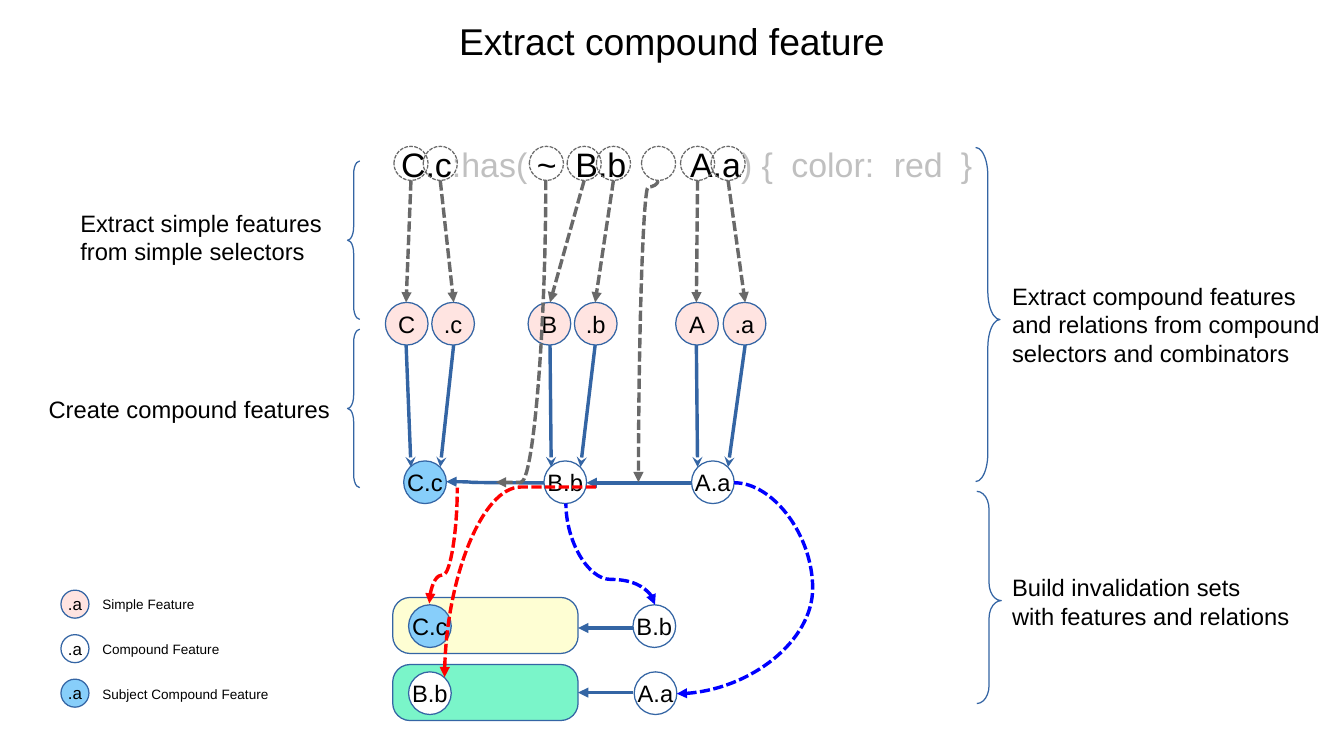
import pptx
import pptx.util
import pptx.dml.color
import pptx.enum.dml
import pptx.enum.shapes
import pptx.enum.text
import pptx.oxml
import pptx.oxml.ns

Inches = pptx.util.Inches
Pt = pptx.util.Pt
Kind = pptx.enum.shapes.MSO_SHAPE
Link = pptx.enum.shapes.MSO_CONNECTOR
Align = pptx.enum.text.PP_ALIGN
Anchor = pptx.enum.text.MSO_ANCHOR
qn = pptx.oxml.ns.qn
COLOR = {"black": "000000", "white": "FFFFFF", "pale": "C0C0C0", "gray": "696969",
         "edge": "3465A4", "pink": "FFE4E1", "sky": "87CEFA", "mint": "7AF5C9",
         "cream": "FEFED3", "red": "FF0000", "blue": "0000FF"}
RGB = {name: pptx.dml.color.RGBColor.from_string(code) for name, code in COLOR.items()}

deck = pptx.Presentation()
deck.slide_width, deck.slide_height = Inches(11.02), Inches(6.2)
slide = deck.slides.add_slide(deck.slide_layouts[5])
shapes = slide.shapes


def write(para, text, size, color="black"):
    run = para.add_run()
    run.text = text
    run.font.size = Pt(size)
    run.font.name = "Arial"
    run.font.color.rgb = RGB[color]


def draw(kind, box, fill, edge, dash=False):
    shape = shapes.add_shape(kind, *map(Inches, box))
    shape.shadow.inherit = False
    if fill:
        shape.fill.solid()
        shape.fill.fore_color.rgb = RGB[fill]
    else:
        shape.fill.background()
    if edge:
        shape.line.color.rgb = RGB[edge]
        shape.line.width = Pt(0)
        if dash:
            shape.line.dash_style = pptx.enum.dml.MSO_LINE.SQUARE_DOT
    else:
        shape.line.fill.background()
    return shape


# Title
title = shapes.title
title.left, title.top, title.width, title.height = map(Inches, (0, 0.1, 11.02, 0.5))
title.text_frame.vertical_anchor = Anchor.TOP
head = title.text_frame.paragraphs[0]
head.alignment = Align.CENTER
write(head, "Extract compound feature", 22)

# Selector line, with tab stops between its parts
rule = draw(Kind.RECTANGLE, (3.19, 1.19, 4.85, 0.31), "white", None)
frame = rule.text_frame
frame.word_wrap = True
frame.margin_right = 0
frame.vertical_anchor = Anchor.MIDDLE
para = frame.paragraphs[0]
para.alignment = Align.LEFT
tabs = pptx.oxml.parse_xml(
    '<a:tabLst xmlns:a="http://schemas.openxmlformats.org/drawingml/2006/main"/>')
for stop in (1.43, 2.37, 3.2, 4.04, 4.59):
    tab = tabs.makeelement(qn("a:tab"), {"pos": str(Inches(stop)), "algn": "l"})
    tabs.append(tab)
para._p.get_or_add_pPr().append(tabs)
for text, color in (("C.c", "black"), (":has(", "pale"), (" ~\tB.b\tA.a", "black"),
                    (") {\tcolor:\tred\t}", "pale")):
    write(para, text, 20, color)

# Invalidation set boxes
for top, fill in ((4.9, "cream"), (5.45, "mint")):
    panel = draw(Kind.ROUNDED_RECTANGLE, (3.22, top, 1.52, 0.46), fill, "edge")
    panel.adjustments[0] = 0.31

# Rings around the parts of the selector
for left in (3.23, 3.47, 4.34, 4.65, 4.89, 5.26, 5.58, 5.83):
    draw(Kind.OVAL, (left, 1.2, 0.28, 0.28), None, "gray", True)

# Feature circles: left, top, text, fill, diameter, text size
nodes = [(left, 2.48, text, "pink", 0.35, 14) for left, text in
         ((3.16, "C"), (3.54, ".c"), (4.33, "B"), (4.71, ".b"), (5.54, "A"), (5.93, ".a"))]
nodes += [(left, top, text, fill, 0.35, 14) for left, top, text, fill in
          ((3.31, 3.78, "C.c", "sky"), (4.46, 3.78, "B.b", "white"),
           (5.67, 3.78, "A.a", "white"), (3.35, 4.96, "C.c", "sky"),
           (5.19, 4.96, "B.b", "white"), (3.35, 5.51, "B.b", "white"),
           (5.2, 5.51, "A.a", "white"))]
legend = [("Simple Feature", "pink"), ("Compound Feature", "white"),
          ("Subject Compound Feature", "sky")]
nodes += [(0.5, 4.84 + 0.365 * row, ".a", fill, 0.23, 10)
          for row, (name, fill) in enumerate(legend)]
for left, top, text, fill, size, font in nodes:
    node = draw(Kind.OVAL, (left, top, size, size), fill, "edge")
    node.text_frame.word_wrap = False
    node.text_frame.vertical_anchor = Anchor.MIDDLE
    para = node.text_frame.paragraphs[0]
    para.alignment = Align.CENTER
    write(para, text, font)

# Links: start, end, color, dashed, arrow end, arrow type, turn, bend
links = []
for ring, mid, base in ((3.37, 3.33, 3.37), (3.61, 3.72, 3.61), (4.79, 4.51, 4.52),
                        (5.03, 4.88, 4.76), (5.72, 5.71, 5.72), (5.97, 6.11, 5.97)):
    links.append(((ring, 1.48), (mid, 2.48), "gray", True, "tail", "triangle", 0, None))
    links.append(((mid, 2.83), (base, 3.83), "edge", False, "tail", "stealth", 0, None))
for y in (5.15, 5.68):
    links.append(((5.19, y), (4.74, y), "edge", False, "tail", "triangle", 0, None))
links += [
    ((3.66, 3.95), (4.46, 3.96), "edge", False, "head", "triangle", 0, 0.25),
    ((4.81, 3.96), (5.67, 3.96), "edge", False, "head", "triangle", 0, 0.25),
    ((5.55, 5.69), (6.02, 3.96), "blue", True, "head", "triangle", 0, 2.37),
    ((4.59, 4.91), (5.42, 4.18), "blue", True, "head", "triangle", 270, 0.25),
    ((5.05, 5.4), (3.49, 4.15), "red", True, "head", "triangle", 90, 1),
    ((4.11, 4.59), (3.16, 4.36), "red", True, "head", "triangle", 90, 0.25),
    ((3.03, 2.51), (5.51, 2.92), "gray", True, "tail", "triangle", 90, 1),
    ((4.08, 2.64), (6.55, 2.8), "gray", True, "tail", "triangle", 90, 0.02),
]
for start, end, color, dash, side, tip, turn, bend in links:
    kind = Link.STRAIGHT if bend is None else Link.CURVE
    link = shapes.add_connector(kind, *map(Inches, start + end))
    link.line.color.rgb = RGB[color]
    link.line.width = Pt(0)
    if dash:
        link.line.dash_style = pptx.enum.dml.MSO_LINE.SQUARE_DOT
    props = link._element.spPr
    line = props.find(qn("a:ln"))
    line.append(line.makeelement(qn(f"a:{side}End"), {"type": tip}))
    props.append(props.makeelement(qn("a:effectLst"), {}))
    if turn:
        props.find(qn("a:xfrm")).set("rot", str(turn * 60000))
    if bend is not None:
        guides = props.find(qn("a:prstGeom")).get_or_add_avLst()
        guides.append(guides.makeelement(
            qn("a:gd"), {"name": "adj1", "fmla": f"val {round(bend * 100000)}"}))

# Braces
for kind, box, curl, mid in (
        (Kind.LEFT_BRACE, (2.85, 1.32, 0.1, 1.3), 1.08, 0.5),
        (Kind.LEFT_BRACE, (2.85, 2.7, 0.1, 1.3), 1.08, 0.5),
        (Kind.RIGHT_BRACE, (8, 1.21, 0.2, 2.74), 1.15, 0.515),
        (Kind.RIGHT_BRACE, (8.01, 4.03, 0.2, 1.74), 0.73, 0.515)):
    brace = draw(kind, box, None, "edge")
    brace.adjustments[0], brace.adjustments[1] = curl, mid

# Labels
labels = [
    ((0.56, 1.66, 2.25, 0.54), ("Extract simple features", "from simple selectors"), 14),
    ((0.3, 3.19, 2.51, 0.32), ("Create compound features",), 14),
    ((8.2, 2.26, 2.79, 0.75),
     ("Extract compound features and relations from compound selectors and combinators",), 14),
    ((8.2, 4.65, 2.59, 0.6), ("Build invalidation sets", "with features and relations"), 14),
]
labels += [((0.74, 4.84 + 0.37 * row, 1.61, 0.22), (name,), 8)
           for row, (name, fill) in enumerate(legend)]
for box, lines, size in labels:
    frame = shapes.add_textbox(*map(Inches, box)).text_frame
    frame.word_wrap = True
    for row, text in enumerate(lines):
        para = frame.add_paragraph() if row else frame.paragraphs[0]
        write(para, text, size)

deck.save("out.pptx")
